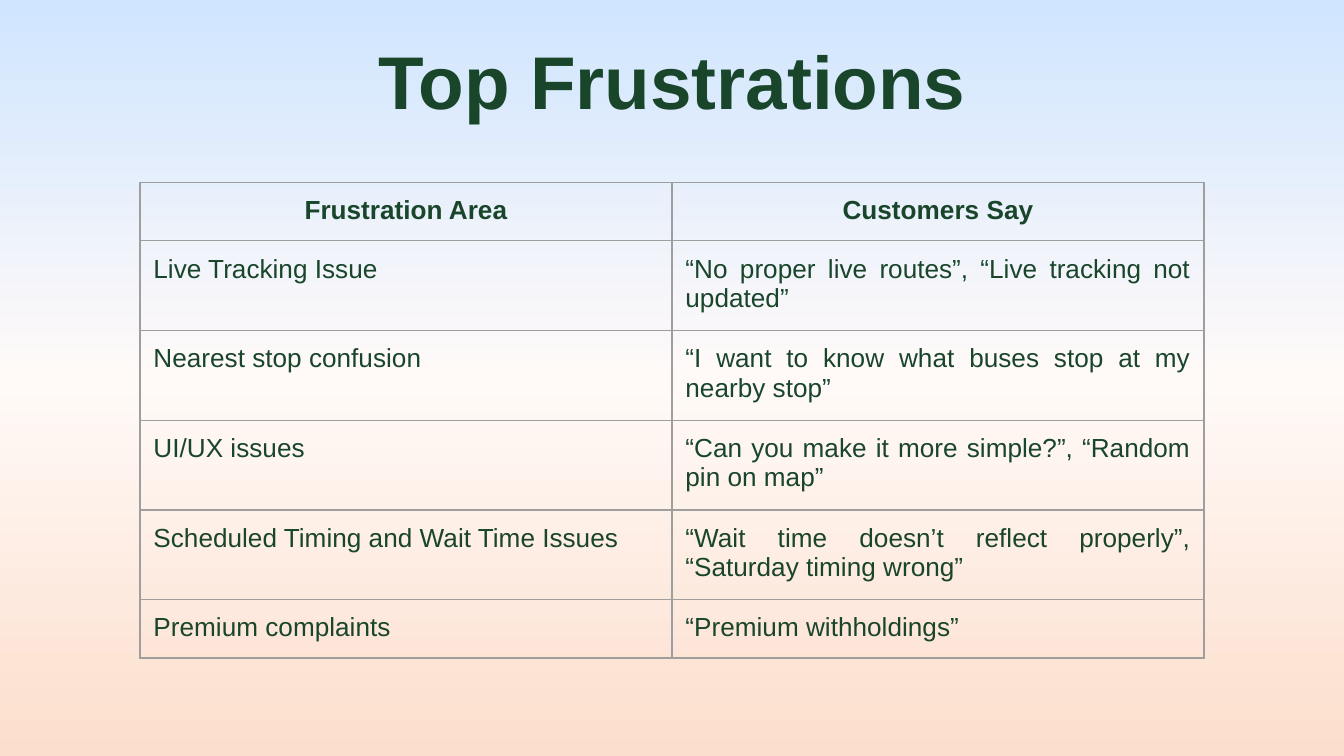
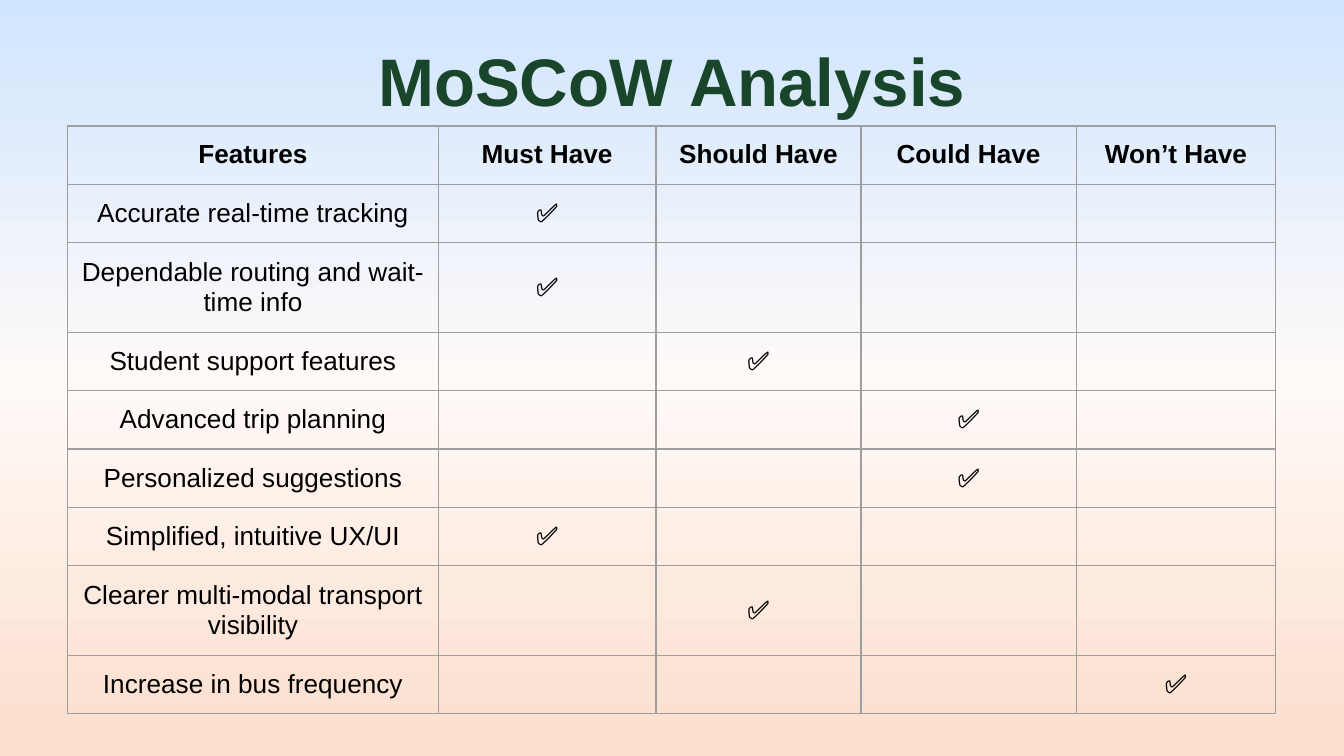
from copy import deepcopy
from dataclasses import dataclass

from lxml import etree
from pptx import Presentation
from pptx.dml.color import RGBColor
from pptx.enum.text import MSO_ANCHOR, PP_ALIGN
from pptx.oxml.ns import qn
from pptx.slide import Slide
from pptx.util import Pt

MID, TOP = MSO_ANCHOR.MIDDLE, MSO_ANCHOR.TOP
CENTER, JUST = PP_ALIGN.CENTER, PP_ALIGN.JUSTIFY

# Shared style
GREEN = RGBColor(0x19, 0x45, 0x2B)
BLACK = RGBColor(0x00, 0x00, 0x00)
GREY = RGBColor(0x9E, 0x9E, 0x9E)
SKY = RGBColor(0xD0, 0xE5, 0xFF)
CREAM = RGBColor(0xFF, 0xFA, 0xF8)
PEACH = RGBColor(0xFC, 0xDE, 0xCC)
FONT = "Arial"
SIZE = 14
INSET = Pt(7.2)
RULE = Pt(0.75)
ROW = 30.24
CHECK = "✅"


@dataclass
class Grid:
    left: float
    top: float
    widths: list[float]
    rows: list[list[str]]
    color: RGBColor
    align: PP_ALIGN
    anchor: MSO_ANCHOR


def style(para, size: float, color: RGBColor, bold: bool, align: PP_ALIGN) -> None:
    para.alignment = align
    for run in para.runs:
        font = run.font
        font.name, font.size, font.bold = FONT, Pt(size), bold
        font.color.rgb = color


def pad(box) -> None:
    box.margin_left = box.margin_right = INSET
    box.margin_top = box.margin_bottom = INSET


def paint(slide: Slide) -> None:
    """Fill the background from sky at the top to peach at the bottom."""
    fill = slide.background.fill
    fill.gradient()
    fill.gradient_angle = 270
    stops = next(slide.element.iter(qn("a:gsLst")))
    stops.insert(1, deepcopy(stops[0]))
    for stop, color, place in zip(fill.gradient_stops, (SKY, CREAM, PEACH), (0, 0.5, 1)):
        stop.color.rgb = color
        stop.position = place


def add_title(slide: Slide, text: str, size: float) -> None:
    frame = slide.shapes.add_textbox(Pt(24.48), Pt(5.76), Pt(671.04), Pt(74.16)).text_frame
    frame.word_wrap = True
    frame.vertical_anchor = MID
    pad(frame)
    frame.text = text
    style(frame.paragraphs[0], size, GREEN, True, CENTER)


def add_rules(props) -> None:
    """Put a thin grey line on each side of a cell."""
    for spot, side in enumerate(("lnL", "lnR", "lnT", "lnB")):
        line = etree.Element(qn(f"a:{side}"), w=str(RULE))
        fill = etree.SubElement(line, qn("a:solidFill"))
        etree.SubElement(fill, qn("a:srgbClr"), val=str(GREY))
        props.insert(spot, line)


def add_grid(slide: Slide, grid: Grid) -> None:
    count = len(grid.rows)
    shape = slide.shapes.add_table(count, len(grid.widths), Pt(grid.left), Pt(grid.top),
                                   Pt(sum(grid.widths)), Pt(ROW * count))
    table = shape.table
    table.first_row = table.horz_banding = False
    for col, width in zip(table.columns, grid.widths):
        col.width = Pt(width)
    for num, (row, texts) in enumerate(zip(table.rows, grid.rows)):
        row.height = Pt(ROW)
        head = num == 0
        for cell, text in zip(row.cells, texts):
            cell.fill.background()
            pad(cell)
            cell.vertical_anchor = TOP if head else grid.anchor
            cell.text_frame.text = text
            style(cell.text_frame.paragraphs[0], SIZE, grid.color, head,
                  CENTER if head else grid.align)
    for props in shape.element.iter(qn("a:tcPr")):
        add_rules(props)
    # Empty cells keep the body size, so that rows do not grow
    for para in shape.element.iter(qn("a:p")):
        if para.find(qn("a:r")) is None:
            etree.SubElement(para, qn("a:endParaRPr"), sz=str(SIZE * 100))


# Slide content
PAINS = [
    ["Frustration Area", "Customers Say"],
    ["Live Tracking Issue", "“No proper live routes”, “Live tracking not updated”"],
    ["Nearest stop confusion", "“I want to know what buses stop at my nearby stop”"],
    ["UI/UX issues", "“Can you make it more simple?”, “Random pin on map”"],
    ["Scheduled Timing and Wait Time Issues",
     "“Wait time doesn’t reflect properly”, “Saturday timing wrong”"],
    ["Premium complaints", "“Premium withholdings”"],
]
RANKS = ["Must Have", "Should Have", "Could Have", "Won’t Have"]
NEEDS = [
    ("Accurate real-time tracking", "Must Have"),
    ("Dependable routing and wait-time info", "Must Have"),
    ("Student support features", "Should Have"),
    ("Advanced trip planning", "Could Have"),
    ("Personalized suggestions", "Could Have"),
    ("Simplified, intuitive UX/UI", "Must Have"),
    ("Clearer multi-modal transport visibility", "Should Have"),
    ("Increase in bus frequency", "Won’t Have"),
]


def main() -> None:
    deck = Presentation()
    deck.slide_width, deck.slide_height = Pt(720), Pt(405)
    blank = deck.slide_layouts[6]

    # Frustrations
    slide = deck.slides.add_slide(blank)
    paint(slide)
    add_title(slide, "Top Frustrations", 40)
    add_grid(slide, Grid(75, 97.8, [285, 285], PAINS, GREEN, JUST, TOP))

    # Priorities, with the title in front of the table
    slide = deck.slides.add_slide(blank)
    paint(slide)
    marks = [[need] + [CHECK if rank == pick else "" for rank in RANKS]
             for need, pick in NEEDS]
    add_grid(slide, Grid(36.2, 67.5, [198.7, 116.6, 109.8, 115.4, 106.8],
                         [["Features"] + RANKS] + marks, BLACK, CENTER, MID))
    add_title(slide, "MoSCoW Analysis", 36)

    deck.save("out.pptx")


if __name__ == "__main__":
    main()
